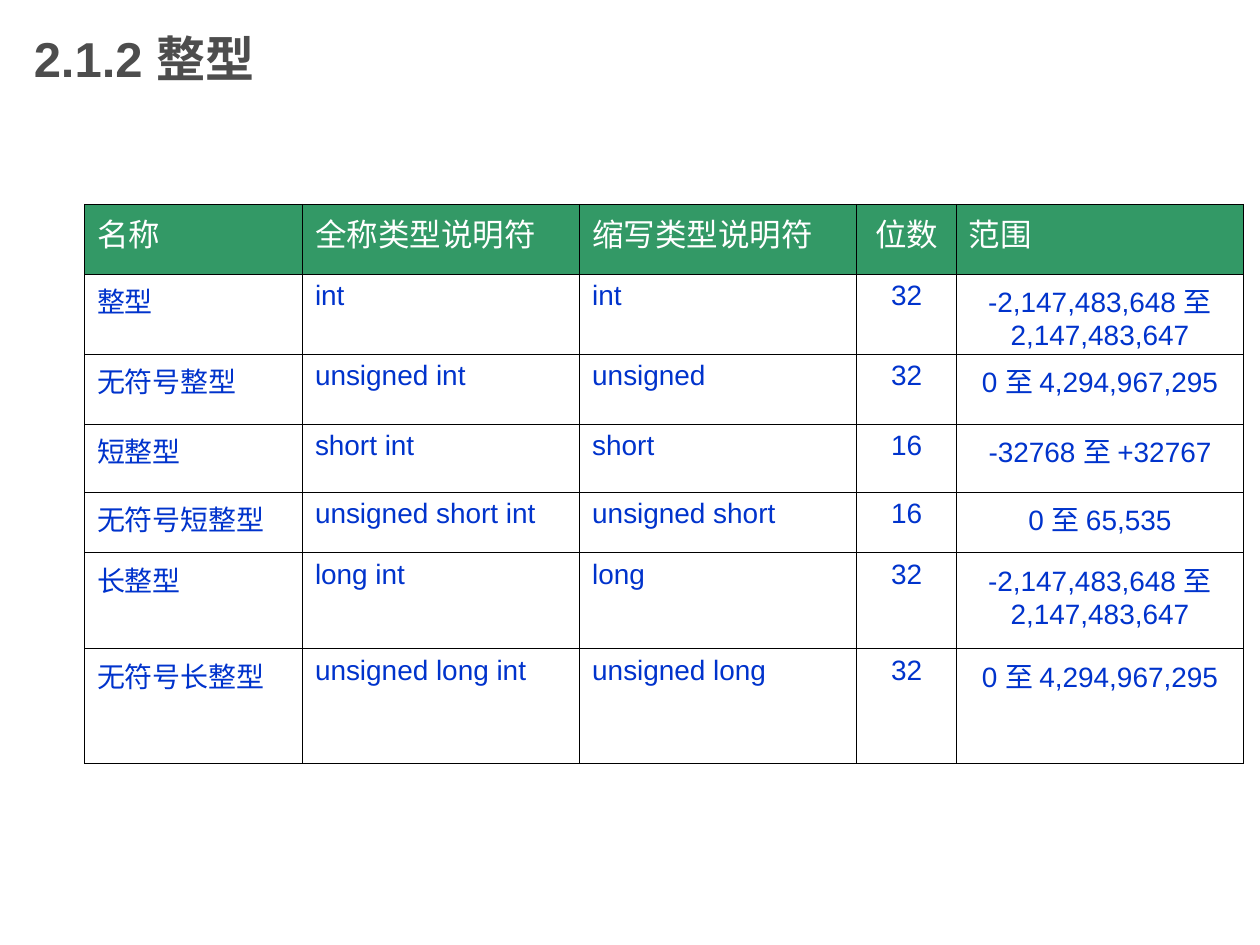
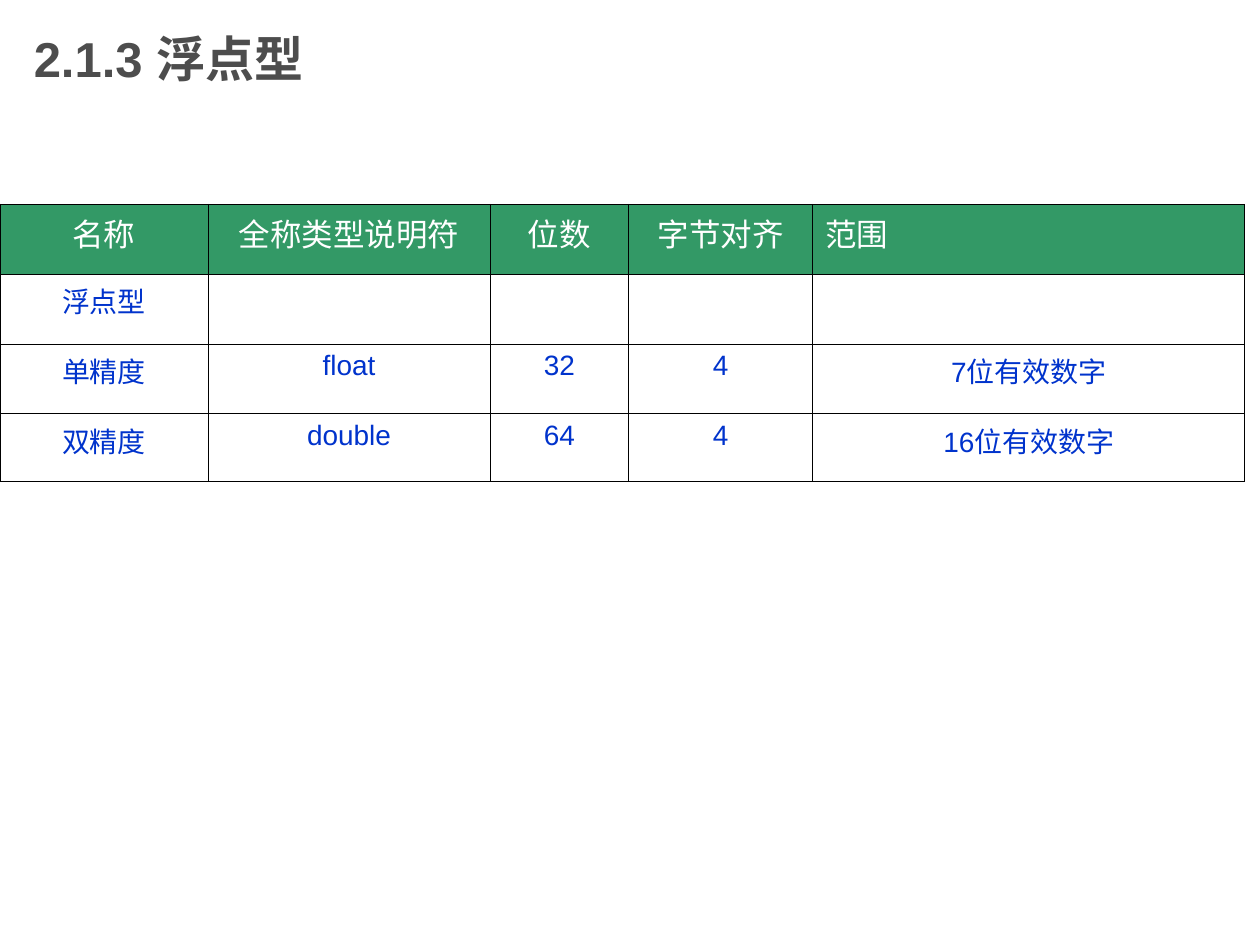
from dataclasses import dataclass

from lxml import etree
from pptx import Presentation
from pptx.dml.color import RGBColor
from pptx.enum.text import MSO_ANCHOR, PP_ALIGN
from pptx.oxml.ns import qn
from pptx.slide import Slide
from pptx.table import _Cell
from pptx.util import Inches, Pt

LEFT, MID = PP_ALIGN.LEFT, PP_ALIGN.CENTER
ALIGN = {"l": LEFT, "c": MID}
MIDDLE = MSO_ANCHOR.MIDDLE
WIDE, HIGH = Inches(10), Inches(7.5)
BLANK = 6
PLAIN = "{2D5ABB26-0587-4C30-8999-92F81FD0307C}"  # table style without fills or grid


@dataclass(frozen=True)
class Theme:
    """Colours, and formats given as font attribute values."""
    band: str = "339966"
    grid: str = "000000"
    rule: float = 0.45

    def title(self) -> dict:
        return dict(name="Arial", size=28, color="4D4D4D", bold=True)

    def head(self) -> dict:
        return dict(name="Times New Roman", size=18, color="FFFFFF", bold=False)

    def body(self) -> dict:
        return dict(name="Arial", size=16, color="0033CC", bold=False)


@dataclass(frozen=True)
class Topic:
    """One slide; left, cols and rows are percentages of the slide's size."""
    title: str
    left: float
    cols: list[float]
    rows: list[float]
    head: str
    body: str
    cells: list[list[str]]


THEME = Theme()
TOP = 21.6
TOPICS = [
    Topic(
        "2.1.2 整型", 6.7,
        [17.3, 22, 22, 7.9, 22.8],
        [7.4, 8.5, 7.4, 7.2, 6.4, 10.15, 12.15],
        "lllcl", "lllcc",
        [
            ["名称", "全称类型说明符", "缩写类型说明符", "位数", "范围"],
            ["整型", "int", "int", "32", "-2,147,483,648 至 2,147,483,647"],
            ["无符号整型", "unsigned int", "unsigned", "32", "0 至 4,294,967,295"],
            ["短整型", "short int", "short", "16", "-32768 至 +32767"],
            ["无符号短整型", "unsigned short int", "unsigned short", "16", "0 至 65,535"],
            ["长整型", "long int", "long", "32", "-2,147,483,648 至 2,147,483,647"],
            ["无符号长整型", "unsigned long int", "unsigned long", "32", "0 至 4,294,967,295"],
        ],
    ),
    Topic(
        "2.1.3 浮点型", 0,
        [16.5, 22.4, 11, 14.6, 34.3],
        [7.4, 7.4, 7.4, 7.2],
        "ccccl", "ccccc",
        [
            ["名称", "全称类型说明符", "位数", "字节对齐", "范围"],
            ["浮点型", "", "", "", ""],
            ["单精度", "float", "32", "4", "7位有效数字"],
            ["双精度", "double", "64", "4", "16位有效数字"],
        ],
    ),
]


def across(share: float) -> int:
    return round(WIDE * share / 100)


def down(share: float) -> int:
    return round(HIGH * share / 100)


def write(frame, text: str, form: dict, align: PP_ALIGN) -> None:
    line = frame.paragraphs[0]
    line.alignment = align
    if not text:
        return
    run = line.add_run()
    run.text = text
    for key, value in form.items():
        if key == "color":
            run.font.color.rgb = RGBColor.from_string(value)
        else:
            setattr(run.font, key, Pt(value) if key == "size" else value)


def frame_cell(cell: _Cell) -> None:
    """Draw the four borders; must come before the cell's fill."""
    props = cell._tc.get_or_add_tcPr()
    for side in ("lnL", "lnR", "lnT", "lnB"):
        edge = etree.SubElement(props, qn(f"a:{side}"), w=str(Pt(THEME.rule)))
        paint = etree.SubElement(edge, qn("a:solidFill"))
        etree.SubElement(paint, qn("a:srgbClr"), val=THEME.grid)


def add_title(slide: Slide, text: str) -> None:
    box = slide.shapes.add_textbox(across(1.7), 0, across(75), down(12.25))
    frame = box.text_frame
    for key, value in dict(word_wrap=True, vertical_anchor=MIDDLE).items():
        setattr(frame, key, value)
    write(frame, text, THEME.title(), LEFT)


def add_grid(slide: Slide, topic: Topic) -> None:
    shape = slide.shapes.add_table(
        len(topic.rows), len(topic.cols), across(topic.left), down(TOP),
        across(sum(topic.cols)), down(sum(topic.rows)))
    table = shape.table
    table._tbl.tblPr.find(qn("a:tableStyleId")).text = PLAIN
    table.horz_banding = False
    for col, share in zip(table.columns, topic.cols):
        col.width = across(share)
    for row, share in zip(table.rows, topic.rows):
        row.height = down(share)
    for r, texts in enumerate(topic.cells):
        form, sides = (THEME.body(), topic.body) if r else (THEME.head(), topic.head)
        for c, (text, side) in enumerate(zip(texts, sides)):
            cell = table.cell(r, c)
            frame_cell(cell)
            if r:
                cell.fill.background()
            else:
                cell.fill.solid()
                cell.fill.fore_color.rgb = RGBColor.from_string(THEME.band)
            write(cell.text_frame, text, form, ALIGN[side])


def main() -> None:
    deck = Presentation()
    deck.slide_width, deck.slide_height = WIDE, HIGH
    for topic in TOPICS:
        slide = deck.slides.add_slide(deck.slide_layouts[BLANK])
        add_title(slide, topic.title)
        add_grid(slide, topic)
    deck.save("out.pptx")


if __name__ == "__main__":
    main()
